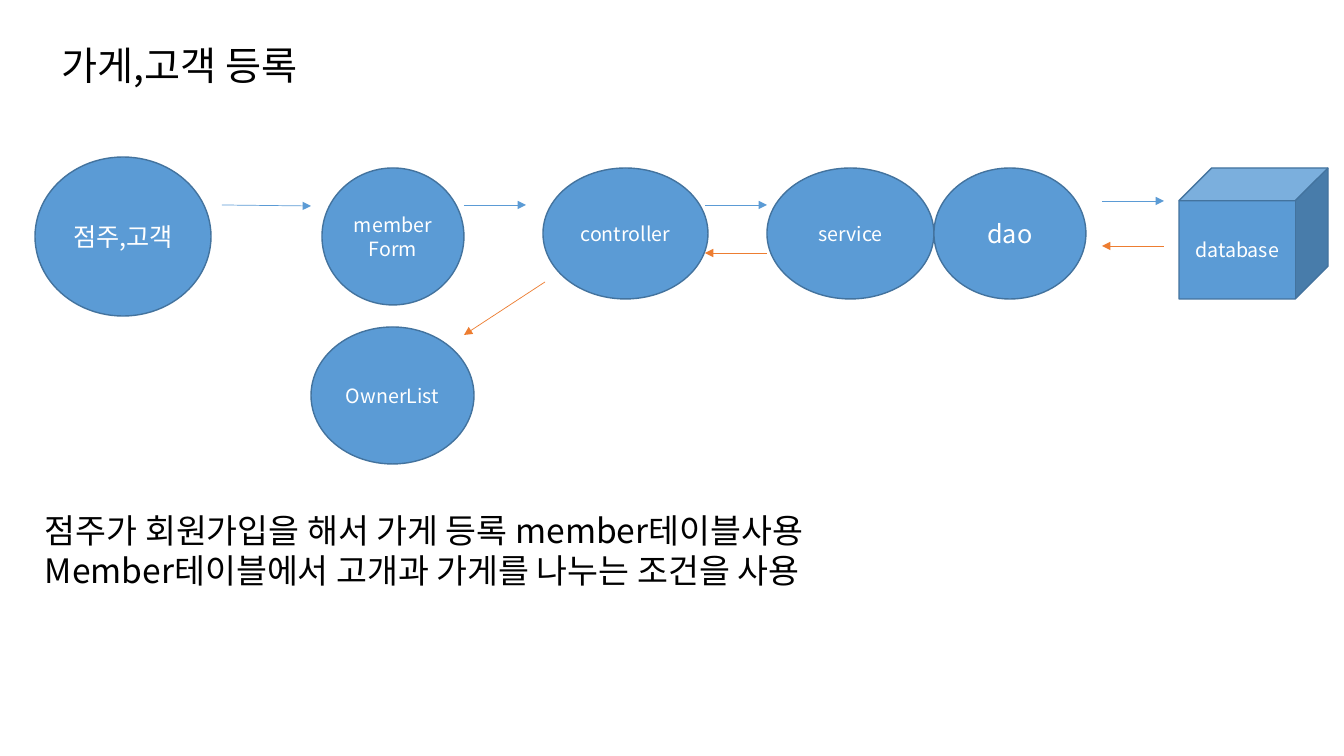
from dataclasses import dataclass

from lxml.etree import SubElement
from pptx import Presentation
from pptx.dml.color import RGBColor
from pptx.enum.shapes import MSO_CONNECTOR, MSO_SHAPE
from pptx.enum.text import MSO_ANCHOR, MSO_AUTO_SIZE, PP_ALIGN
from pptx.oxml.ns import qn
from pptx.slide import Slide
from pptx.text.text import _Paragraph
from pptx.util import Emu, Pt

FONT = "Noto Sans CJK KR"
BLUE = RGBColor(0x5B, 0x9B, 0xD5)
DARK_BLUE = RGBColor(0x43, 0x73, 0x9E)
ORANGE = RGBColor(0xED, 0x7D, 0x31)
WHITE = RGBColor(0xFF, 0xFF, 0xFF)
BLACK = RGBColor(0x00, 0x00, 0x00)
EMU_PER_PIXEL = 914400 / 100.8
ROW_TOP = 168
ROW_HEIGHT = 131
FORM_HEIGHT = 137
ARROW_LENGTH = 62


@dataclass(frozen=True)
class Node:
    text: str
    left: int
    top: int
    width: int
    height: int
    size: int = 14
    preset: MSO_SHAPE = MSO_SHAPE.OVAL


@dataclass(frozen=True)
class Arrow:
    start: tuple[int, int]
    end: tuple[int, int]
    color: RGBColor


@dataclass(frozen=True)
class Caption:
    lines: tuple[str, ...]
    left: int
    top: int
    width: int
    height: int
    size: int


def request(left: int, y: int) -> Arrow:
    return Arrow((left, y), (left + ARROW_LENGTH, y), BLUE)


def response(left: int, y: int) -> Arrow:
    return Arrow((left + ARROW_LENGTH, y), (left, y), ORANGE)


NODES = [
    Node("점주,고객", 35, 157, 176, 159, size=18),
    Node("memberForm", 322, ROW_TOP, 142, FORM_HEIGHT),
    Node("controller", 543, ROW_TOP, 165, ROW_HEIGHT),
    Node("service", 767, ROW_TOP, 167, ROW_HEIGHT),
    Node("dao", 934, ROW_TOP, 152, ROW_HEIGHT, size=18),
    Node("database", 1179, ROW_TOP, 149, ROW_HEIGHT, preset=MSO_SHAPE.CUBE),
    Node("OwnerList", 311, 327, 163, FORM_HEIGHT),
]
ARROWS = [
    Arrow((222, 205), (311, 206), BLUE),
    request(464, 205),
    request(705, 205),
    request(1102, 201),
    response(1102, 246),
    response(705, 253),
    Arrow((545, 282), (464, 335), ORANGE),
]
CAPTIONS = [
    Caption(("가게,고객 등록",), 52, 36, 1208, 57, 28),
    Caption(
        (
            "점주가 회원가입을 해서 가게 등록 member테이블사용",
            "Member테이블에서 고개과 가게를 나누는 조건을 사용",
        ),
        35, 505, 1250, 92, 24,
    ),
]


def pixels(*values: int) -> list[Emu]:
    return [Emu(round(value * EMU_PER_PIXEL)) for value in values]


def style_paragraph(paragraph: _Paragraph, size: int, color: RGBColor) -> None:
    font = paragraph.font
    font.name = FONT
    font.size = Pt(size)
    font.color.rgb = color
    defaults = paragraph._p.pPr.find(qn("a:defRPr"))
    SubElement(defaults, qn("a:ea")).set("typeface", FONT)


def draw_node(page: Slide, node: Node) -> None:
    shape = page.shapes.add_shape(
        node.preset, *pixels(node.left, node.top, node.width, node.height)
    )
    shape.shadow.inherit = False
    shape.fill.solid()
    shape.fill.fore_color.rgb = BLUE
    shape.line.color.rgb = DARK_BLUE
    shape.line.width = Pt(1)
    frame = shape.text_frame
    frame.word_wrap = True
    frame.vertical_anchor = MSO_ANCHOR.MIDDLE
    paragraph = frame.paragraphs[0]
    paragraph.text = node.text
    paragraph.alignment = PP_ALIGN.CENTER
    style_paragraph(paragraph, node.size, WHITE)


def draw_arrow(page: Slide, arrow: Arrow) -> None:
    connector = page.shapes.add_connector(
        MSO_CONNECTOR.STRAIGHT, *pixels(*arrow.start, *arrow.end)
    )
    connector.line.color.rgb = arrow.color
    connector.line.width = Pt(0.5)
    SubElement(connector.line._get_or_add_ln(), qn("a:tailEnd")).set("type", "triangle")
    SubElement(connector._element.spPr, qn("a:effectLst"))


def draw_caption(page: Slide, caption: Caption) -> None:
    box = page.shapes.add_textbox(
        *pixels(caption.left, caption.top, caption.width, caption.height)
    )
    frame = box.text_frame
    frame.word_wrap = True
    frame.auto_size = MSO_AUTO_SIZE.SHAPE_TO_FIT_TEXT
    frame.text = "\n".join(caption.lines)
    for paragraph in frame.paragraphs:
        style_paragraph(paragraph, caption.size, BLACK)


def main() -> None:
    deck = Presentation()
    deck.slide_width, deck.slide_height = pixels(1344, 756)
    page = deck.slides.add_slide(deck.slide_layouts[6])
    for node in NODES:
        draw_node(page, node)
    for arrow in ARROWS:
        draw_arrow(page, arrow)
    for caption in CAPTIONS:
        draw_caption(page, caption)
    deck.save("out.pptx")


main()
